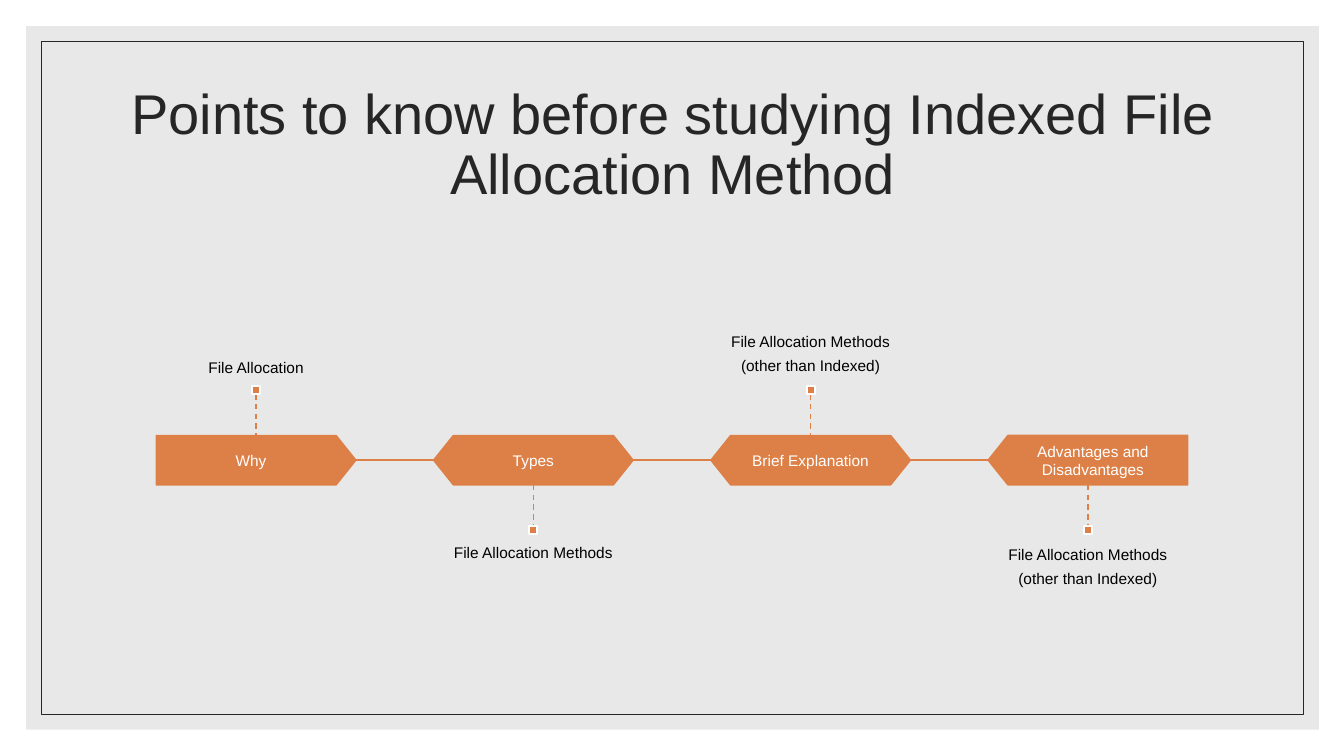
from lxml import etree
from pptx import Presentation, util as u
from pptx.dml.color import RGBColor
from pptx.enum import dml, shapes, text
from pptx.oxml.ns import qn

HUES = {"panel": "D9D9D9", "ink": "262626", "step": "DD8047", "white": "FFFFFF", "black": "000000"}
KIND = shapes.MSO_SHAPE
SIDE = text.MSO_ANCHOR


class Deck:
    def __init__(self):
        self.show = Presentation()
        self.show.slide_width = u.Inches(13.33)
        self.show.slide_height = u.Inches(7.5)
        self.slide = self.show.slides.add_slide(self.show.slide_layouts[6])
        self.font = "Arial"

    def hue(self, name):
        return RGBColor.from_string(HUES[name])

    def shape(self, kind, box, fill=None, line=None, width=1, alpha=None):
        item = self.slide.shapes.add_shape(kind, *map(u.Inches, box))
        item.shadow.inherit = False
        if fill:
            item.fill.solid()
            item.fill.fore_color.rgb = self.hue(fill)
        else:
            item.fill.background()
        if alpha:
            clr = item.fill._xPr.find(".//" + qn("a:srgbClr"))
            etree.SubElement(clr, qn("a:alpha"), val=str(alpha * 1000))
        if line:
            item.line.color.rgb = self.hue(line)
            item.line.width = u.Pt(width)
        else:
            item.line.fill.background()
        return item

    def line(self, start, end, hue, dash=None):
        ends = map(u.Inches, (*start, *end))
        item = self.slide.shapes.add_connector(shapes.MSO_CONNECTOR.STRAIGHT, *ends)
        item.line.color.rgb = self.hue(hue)
        item.line.width = u.Pt(1)
        item.line.dash_style = dash
        etree.SubElement(item._element.spPr, qn("a:effectLst"))

    def text(self, words, box, size, hue, side, pad, after=0, lead=None):
        frame = self.slide.shapes.add_textbox(*map(u.Inches, box)).text_frame
        frame.word_wrap = True
        frame.vertical_anchor = side
        frame.margin_left = frame.margin_right = u.Inches(pad[0])
        frame.margin_top = frame.margin_bottom = u.Inches(pad[1])
        frame.text = words
        for para in frame.paragraphs:
            para.alignment = text.PP_ALIGN.CENTER
            para.space_after = u.Pt(after)
            para.line_spacing = lead
            para.font.name = self.font
            para.font.size = u.Pt(size)
            para.font.color.rgb = self.hue(hue)


def main():
    deck = Deck()
    deck.shape(KIND.RECTANGLE, (0.26, 0.26, 12.82, 6.98), "panel", alpha=60)
    deck.shape(KIND.RECTANGLE, (0.41, 0.41, 12.52, 6.68), line="ink", width=0.5)
    deck.text("Points to know before studying Indexed File Allocation Method",
              (1.17, 0.7, 11, 1.5), 40, "ink", SIDE.MIDDLE, (0.1, 0.05), lead=0.9)

    other = "File Allocation Methods\n(other than Indexed)"
    steps = [
        ("Why", "File Allocation", KIND.PENTAGON),
        ("Types", "File Allocation Methods", KIND.HEXAGON),
        ("Brief Explanation", other, KIND.HEXAGON),
        ("Advantages and\vDisadvantages".replace("\v", " "), other, KIND.PENTAGON),
    ]
    left, top, wide, high, pitch = 1.55, 4.32, 1.98, 0.49, 2.75
    last = len(steps) - 1
    for i, (name, note, kind) in enumerate(steps):
        x = left + i * pitch
        mid = x + wide / 2
        step = deck.shape(kind, (x, top, wide, high), "step", "step")
        step.adjustments[0] = 0.4
        step.rotation = 180 if i == last else 0
        shift = {0: 0, last: 0.1}.get(i, 0.05)
        deck.text(name, (x + shift, top, wide - 0.1, high), 11, "white",
                  SIDE.MIDDLE, (0.09, 0.09), after=4)
        if i < last:
            y = top + high / 2
            deck.line((x + wide, y), (x + pitch, y), "step")

        above = i % 2 == 0
        edge, tip, dot, y, side = (
            (top, 3.91, 3.83, 2.53, SIDE.BOTTOM) if above
            else (top + high, 5.22, 5.22, 5.3, SIDE.TOP))
        deck.text(note, (mid - pitch / 2, y, pitch, 1.3), 11, "black",
                  side, (0, 0.11), after=4)
        deck.line((mid, min(edge, tip)), (mid, max(edge, tip)), "step", dml.MSO_LINE.DASH)
        deck.shape(KIND.RECTANGLE, (mid - 0.04, dot, 0.08, 0.08), "step", "white", 1.5)

    deck.show.save("out.pptx")


if __name__ == "__main__":
    main()
